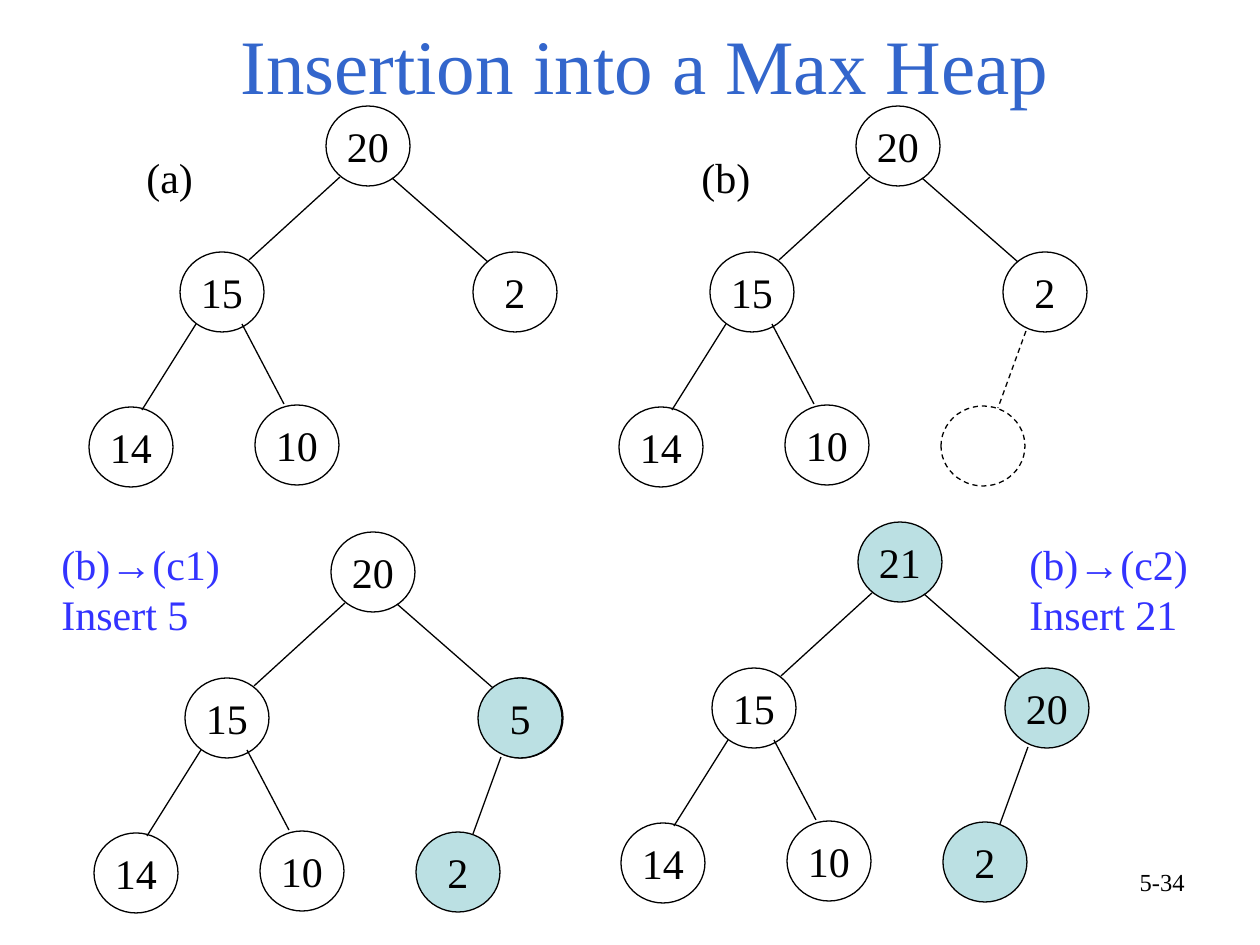
import pptx
import pptx.dml.color
import pptx.enum.dml
import pptx.enum.shapes
import pptx.enum.text
import pptx.util
from lxml import etree

PX = 914400 // 126
BLACK, BLUE, TITLE_BLUE, TEAL = "000000", "3333FF", "3366CC", "BBE0E3"
ALIGN = pptx.enum.text.PP_ALIGN
ANCHOR = pptx.enum.text.MSO_ANCHOR
DRAWING_NS = "http://schemas.openxmlformats.org/drawingml/2006/main"

NODE_SIZE = (84, 80)
# Offsets of each node's corner from the root's corner
NODES = {
    "root": (0, 0),
    "left": (-146, 146),
    "right": (147, 146),
    "left_left": (-237, 301),
    "left_right": (-71, 299),
    "right_left": (85, 300),
}
# Ends of the edge that leads down to each node, from the root's corner
EDGES = {
    "left": (14, 71, -77, 154),
    "right": (66, 72, 162, 156),
    "left_left": (-130, 218, -184, 304),
    "left_right": (-84, 218, -42, 298),
    "right_left": (170, 225, 142, 302),
}
COMMON = {"root": "20", "left": "15", "right": "2", "left_left": "14", "left_right": "10"}
# Root corner, node values, filled nodes, dashed nodes
TREES = [
    ((326, 106), COMMON, (), ()),
    ((856, 106), COMMON | {"right_left": ""}, (), ("right_left",)),
    ((331, 532), COMMON | {"right": "5", "right_left": "2"}, ("right", "right_left"), ()),
    ((858, 522), COMMON | {"root": "21", "right": "20", "right_left": "2"},
     ("root", "right", "right_left"), ()),
]


def px(*lengths):
    return [pptx.util.Emu(length * PX) for length in lengths]


def rgb(value):
    return pptx.dml.color.RGBColor.from_string(value)


def set_all(target, values):
    for name, value in values.items():
        setattr(target, name, value)


class HeapSlide:
    def __init__(self, page, font="Times New Roman"):
        self.page = page
        self.font = font

    def fill_frame(self, frame, runs, size, color, align, anchor, wrap):
        """Fill a frame with one paragraph; runs are (text, font) pairs and None breaks the line."""
        set_all(frame, {"word_wrap": wrap, "vertical_anchor": anchor})
        para = frame.paragraphs[0]
        para.alignment = align
        for run in runs:
            if run is None:
                para.add_line_break()
                continue
            span = para.add_run()
            span.text, font = run
            set_all(span.font, {"name": font, "size": pptx.util.Pt(size)})
            span.font.color.rgb = rgb(color)

    def text(self, bounds, runs, size=24, color=BLACK, align=ALIGN.LEFT, anchor=ANCHOR.TOP):
        box = self.page.shapes.add_textbox(*px(*bounds))
        if isinstance(runs, str):
            runs = [(runs, self.font)]
        self.fill_frame(box.text_frame, runs, size, color, align, anchor, True)

    def outline(self, line, dashed):
        line.color.rgb = rgb(BLACK)
        line.width = pptx.util.Pt(0.75)
        if dashed:
            line.dash_style = pptx.enum.dml.MSO_LINE.DASH

    def node(self, left, top, value="", fill=None, dashed=False):
        circle = self.page.shapes.add_shape(
            pptx.enum.shapes.MSO_SHAPE.OVAL, *px(left, top, *NODE_SIZE))
        circle.shadow.inherit = False
        if fill:
            circle.fill.solid()
            circle.fill.fore_color.rgb = rgb(fill)
        else:
            circle.fill.background()
        self.outline(circle.line, dashed)
        if value:
            self.fill_frame(circle.text_frame, [(value, self.font)], 24, BLACK,
                            ALIGN.CENTER, ANCHOR.MIDDLE, False)

    def edge(self, ends, dashed=False):
        line = self.page.shapes.add_connector(
            pptx.enum.shapes.MSO_CONNECTOR.STRAIGHT, *px(*ends))
        self.outline(line.line, dashed)
        etree.SubElement(line._element.spPr, f"{{{DRAWING_NS}}}effectLst")

    def tree(self, corner, values, filled, dashed):
        x, y = corner
        for name, value in values.items():
            dx, dy = NODES[name]
            self.node(x + dx, y + dy, value, TEAL if name in filled else None, name in dashed)
            if name in EDGES:
                x1, y1, x2, y2 = EDGES[name]
                self.edge((x + x1, y + y1, x + x2, y + y2), name in dashed)

    def step(self, left, target, action):
        runs = [("(b)", self.font), ("→", "Arial"), (target, self.font), None, (action, self.font)]
        self.text((left, 532, 203, 113), runs, color=BLUE)


def main():
    deck = pptx.Presentation()
    deck.slide_width, deck.slide_height = px(1260, 945)
    slide = HeapSlide(deck.slides.add_slide(deck.slide_layouts[6]))

    slide.text((95, 19, 1100, 97), "Insertion into a Max Heap", 44, TITLE_BLUE,
               ALIGN.CENTER, ANCHOR.BOTTOM)
    slide.node(479, 678, fill=BLACK)  # dark rim behind the node holding 5
    for tree in TREES:
        slide.tree(*tree)
    for left, label in ((134, "(a)"), (689, "(b)")):
        slide.text((left, 145, 79, 63), label)
    slide.step(49, "(c1)", "Insert 5")
    slide.step(1017, "(c2)", "Insert 21")
    slide.text((903, 861, 294, 65), "5-34", 14, align=ALIGN.RIGHT)
    deck.save("out.pptx")


if __name__ == "__main__":
    main()
